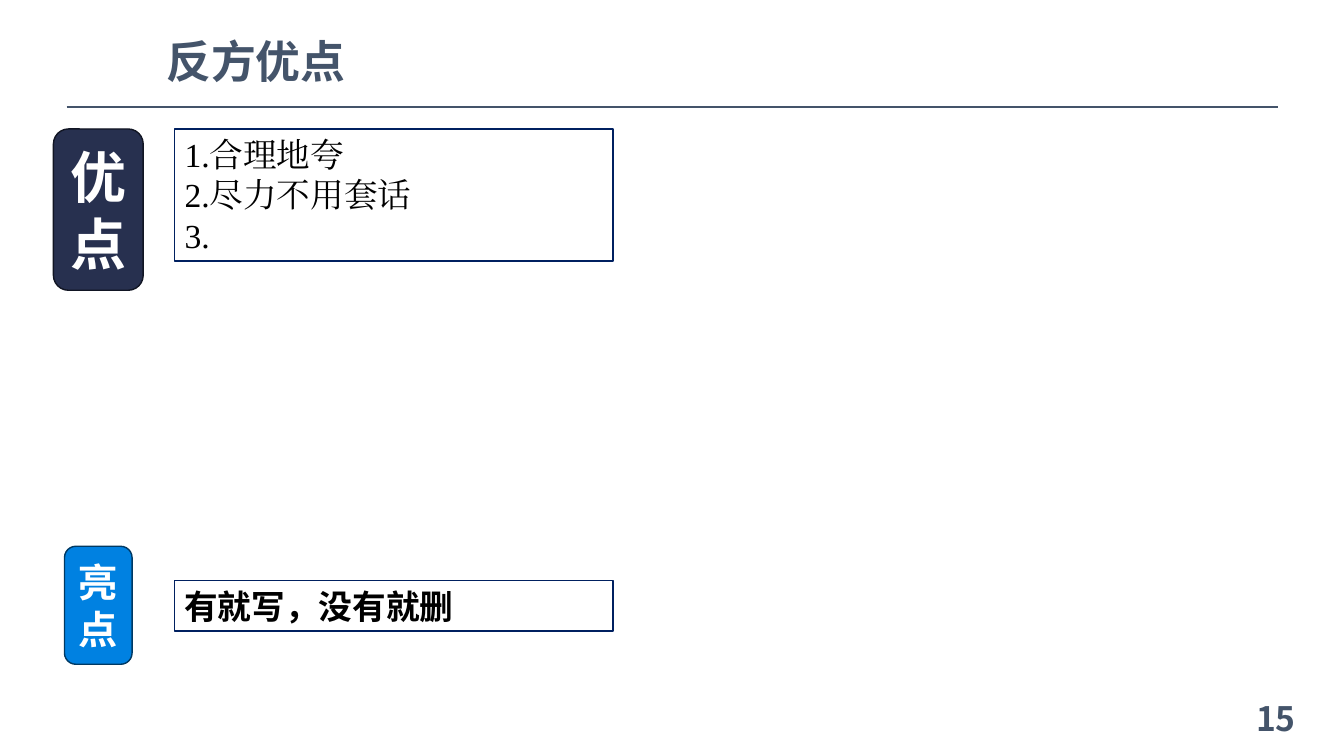
from dataclasses import dataclass

from pptx import Presentation
from pptx.dml.color import RGBColor
from pptx.enum.shapes import MSO_CONNECTOR, MSO_SHAPE
from pptx.enum.text import MSO_ANCHOR, MSO_AUTO_SIZE, PP_ALIGN
from pptx.oxml.ns import qn
from pptx.util import Inches, Pt
from lxml.etree import SubElement


@dataclass(frozen=True)
class Theme:
    heading: str = "44546A"
    frame: str = "002060"
    ink: str = "000000"
    white: str = "FFFFFF"
    navy: str = "27304F"
    navy_edge: str = "111523"
    blue: str = "0081E1"
    blue_edge: str = "003963"
    sans: str = "Noto Sans CJK SC"
    serif: str = "Times New Roman"
    title_size: int = 32
    body_size: int = 24
    large_tag: int = 40
    small_tag: int = 28
    leading: float = 1.2


THEME = Theme()


def place(sp, left, top, width, height):
    sp.left, sp.top = Inches(left), Inches(top)
    sp.width, sp.height = Inches(width), Inches(height)


def set_text(sp, *lines, size=THEME.body_size, font=THEME.sans, color=THEME.ink,
             bold=True, align=PP_ALIGN.LEFT, anchor=MSO_ANCHOR.TOP):
    tf = sp.text_frame
    tf.word_wrap = True
    tf.auto_size = MSO_AUTO_SIZE.NONE
    tf.vertical_anchor = anchor
    for i, line in enumerate(lines):
        p = tf.paragraphs[0] if i == 0 else tf.add_paragraph()
        p.alignment = align
        p.line_spacing = Pt(size * THEME.leading)
        p.space_before = Pt(0)
        r = p.add_run()
        r.text = line
        r.font.size = Pt(size)
        r.font.name = font
        r.font.bold = bold
        r.font.color.rgb = RGBColor.from_string(color)
        SubElement(r.font._element, qn("a:ea")).set("typeface", font)


def set_outline(sp, color, width=1):
    sp.line.color.rgb = RGBColor.from_string(color)
    sp.line.width = Pt(width)


def remove_bullets(sp):
    for p in sp.text_frame.paragraphs:
        props = p._p.get_or_add_pPr()
        props.set("marL", "0")
        props.set("indent", "0")
        SubElement(props, qn("a:buNone"))


def add_rule(s, left, right, y):
    rule = s.shapes.add_connector(MSO_CONNECTOR.STRAIGHT, Inches(left), Inches(y),
                                  Inches(right), Inches(y))
    set_outline(rule, THEME.heading, 1.75)
    SubElement(rule._element.spPr, qn("a:effectLst"))


def add_tag(s, box, text, size, fill, edge):
    sp = s.shapes.add_shape(MSO_SHAPE.ROUNDED_RECTANGLE, *map(Inches, box))
    sp.shadow.inherit = False
    sp.fill.solid()
    sp.fill.fore_color.rgb = RGBColor.from_string(fill)
    set_outline(sp, edge)
    set_text(sp, text, size=size, color=THEME.white,
             align=PP_ALIGN.CENTER, anchor=MSO_ANCHOR.MIDDLE)


def add_framed_text(s, box, text):
    sp = s.shapes.add_textbox(*map(Inches, box))
    set_outline(sp, THEME.frame)
    set_text(sp, text)


def add_page_number(s, box, number):
    sp = s.shapes.add_textbox(*map(Inches, box))
    set_text(sp, number, color=THEME.heading, align=PP_ALIGN.RIGHT,
             anchor=MSO_ANCHOR.MIDDLE)


def main():
    prs = Presentation()
    prs.slide_width, prs.slide_height = Inches(13.33), Inches(7.5)
    s = prs.slides.add_slide(prs.slide_layouts[1])

    add_rule(s, 0.66, 12.68, 1.06)
    title = s.shapes.title
    place(title, 1.55, 0.28, 2.88, 0.64)
    set_text(title, "反方优点", size=THEME.title_size, color=THEME.heading)

    add_tag(s, (0.53, 1.28, 0.89, 1.6), "优点", THEME.large_tag,
            THEME.navy, THEME.navy_edge)
    merits = s.placeholders[1]
    place(merits, 1.73, 1.28, 4.35, 1.31)
    set_outline(merits, THEME.frame)
    set_text(merits, "1.合理地夸", "2.尽力不用套话", "3.", font=THEME.serif, bold=False)
    remove_bullets(merits)

    add_tag(s, (0.64, 5.42, 0.67, 1.17), "亮点", THEME.small_tag,
            THEME.blue, THEME.blue_edge)
    add_framed_text(s, (1.73, 5.76, 4.35, 0.5), "有就写，没有就删")
    add_page_number(s, (9.95, 6.87, 3, 0.5), "15")

    prs.save("out.pptx")


if __name__ == "__main__":
    main()
